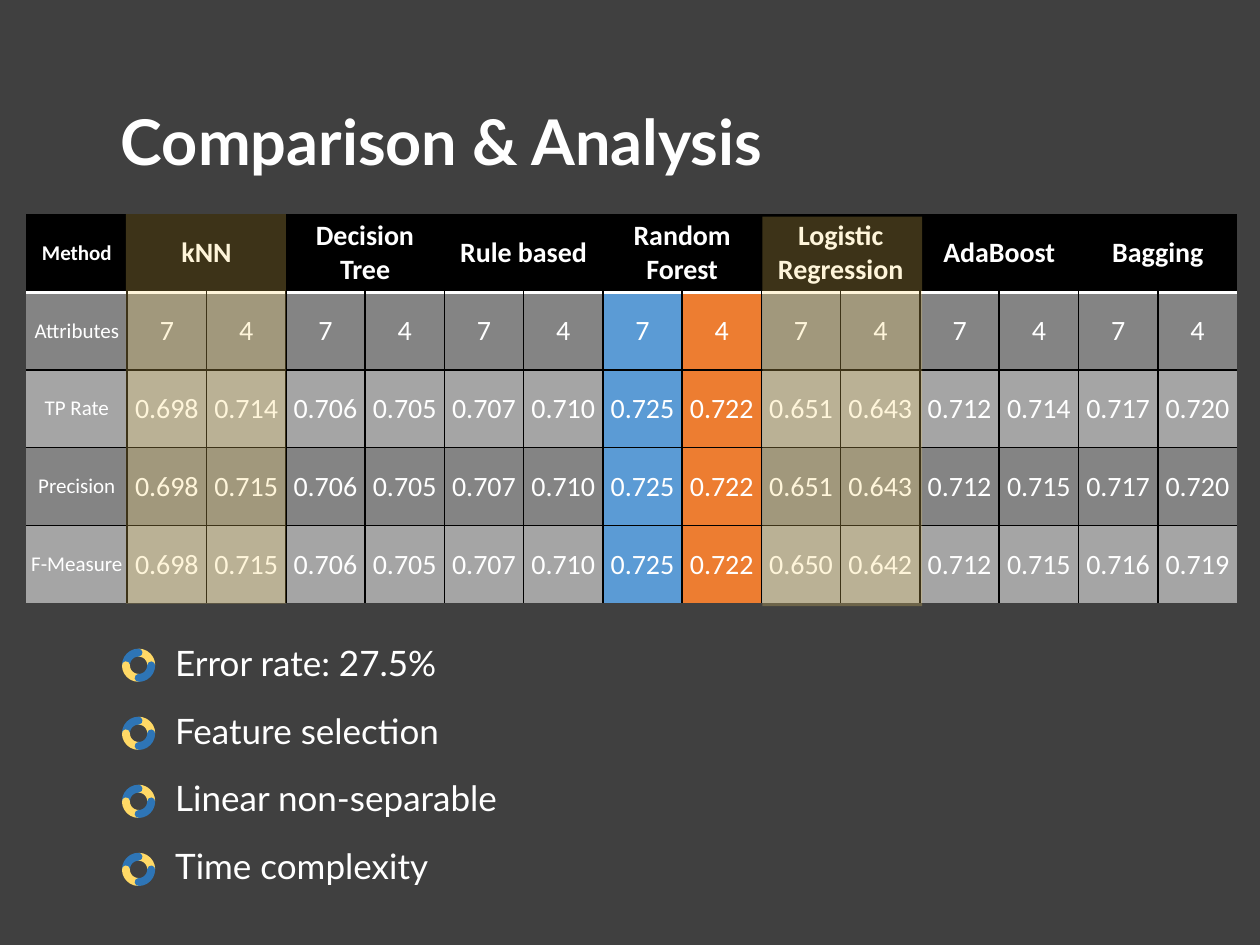
from lxml import etree
from pptx import Presentation
from pptx import util as u
from pptx.dml.color import RGBColor
from pptx.enum import shapes, text
from pptx.oxml.ns import qn

COLORS = {
    "back": "404040", "white": "FFFFFF", "black": "000000",
    "dark": "848484", "light": "A5A5A5", "blue": "5B9BD5",
    "orange": "ED7D31", "yellow": "FFD966", "ring": "2E75B6",
}
METHODS = ["kNN", "Decision\nTree", "Rule based", "Random Forest",
           "Logistic Regression", "AdaBoost", "Bagging"]
ROWS = {
    "Attributes": ["7", "4"] * len(METHODS),
    "TP Rate": "0.698 0.714 0.706 0.705 0.707 0.710 0.725 0.722 "
               "0.651 0.643 0.712 0.714 0.717 0.720".split(),
    "Precision": "0.698 0.715 0.706 0.705 0.707 0.710 0.725 0.722 "
                 "0.651 0.643 0.712 0.715 0.717 0.720".split(),
    "F-Measure": "0.698 0.715 0.706 0.705 0.707 0.710 0.725 0.722 "
                 "0.650 0.642 0.712 0.715 0.716 0.719".split(),
}
POINTS = ["Error rate: 27.5%", "Feature selection",
          "Linear non-separable", "Time complexity"]
BEST = {7: "blue", 8: "orange"}


def rgb(name):
    """Return the named colour."""
    return RGBColor.from_string(COLORS[name])


def set_all(obj, **values):
    """Set each given attribute on an object."""
    for name, value in values.items():
        setattr(obj, name, value)


def set_font(p, size, name, bold=False):
    """Format the font of a paragraph in white."""
    for r in p.runs:
        set_all(r.font, size=u.Pt(size), name=name, bold=bold)
        r.font.color.rgb = rgb("white")


def place(sp, box):
    """Move a shape to a box given in inches."""
    names = ("left", "top", "width", "height")
    set_all(sp, **dict(zip(names, map(u.Inches, box))))


def add_border(cell, side, color=None, width=1):
    """Draw one border of a cell, or hide it when no colour is given."""
    ln = etree.SubElement(cell._tc.get_or_add_tcPr(), qn(f"a:ln{side}"),
                          w=str(u.Pt(width)))
    if color is None:
        etree.SubElement(ln, qn("a:noFill"))
        return
    fill = etree.SubElement(ln, qn("a:solidFill"))
    etree.SubElement(fill, qn("a:srgbClr"), val=COLORS[color])


def format_cell(cell, row, col, last_row, last_col):
    """Apply the borders, fill and text format that a grid position calls for."""
    inner = "black" if row else None
    add_border(cell, "L", inner if col else None)
    add_border(cell, "R", inner if col < last_col else None)
    if row == 0:
        add_border(cell, "T")
        add_border(cell, "B", "white", 2)
    else:
        add_border(cell, "T", *(("white", 2) if row == 1 else ("black", 1)))
        add_border(cell, "B", "black" if row < last_row else None)
    band = "dark" if row % 2 else "light"
    cell.fill.solid()
    cell.fill.fore_color.rgb = rgb(BEST.get(col, band) if row else "black")
    set_all(cell, vertical_anchor=text.MSO_ANCHOR.MIDDLE, margin_left=0,
            margin_right=0, margin_top=0, margin_bottom=0)
    for p in cell.text_frame.paragraphs:
        p.alignment = text.PP_ALIGN.CENTER
        set_font(p, 16 if col else 12, "Calibri", row == 0)


def add_results(s, box, label_width):
    """Add the table of scores for each method."""
    n_rows, n_cols = len(ROWS) + 1, 2 * len(METHODS) + 1
    table = s.shapes.add_table(n_rows, n_cols, *map(u.Inches, box)).table
    set_all(table, first_row=False, horz_banding=False)
    for i, column in enumerate(table.columns):
        score_width = (box[2] - label_width) / (n_cols - 1)
        column.width = u.Inches(score_width if i else label_width)
    for row in table.rows:
        row.height = u.Inches(box[3] / n_rows)
    table.cell(0, 0).text = "Method"
    for i, method in enumerate(METHODS):
        first = table.cell(0, 2 * i + 1)
        first.merge(table.cell(0, 2 * i + 2))
        first.text = method
    for i, (label, scores) in enumerate(ROWS.items(), 1):
        for j, value in enumerate([label, *scores]):
            table.cell(i, j).text = value
    for i in range(n_rows):
        for j in range(n_cols):
            format_cell(table.cell(i, j), i, j, n_rows - 1, n_cols - 1)


def add_highlight(s, box):
    """Add a translucent band over a method's columns."""
    sp = s.shapes.add_shape(shapes.MSO_SHAPE.RECTANGLE, *map(u.Inches, box))
    sp.shadow.inherit = False
    sp.fill.solid()
    sp.fill.fore_color.rgb = rgb("yellow")
    color = sp.fill._xPr.find(".//" + qn("a:srgbClr"))
    etree.SubElement(color, qn("a:alpha"), val="24000")
    sp.line.fill.background()


def add_ring(s, left, top, size):
    """Add a ring marker made of four arcs in alternating colours."""
    group = s.shapes.add_group_shape()
    box = [u.Inches(v) for v in (left, top, size, size)]
    for angle, color in ((90, "yellow"), (0, "ring"),
                         (270, "yellow"), (180, "ring")):
        sp = group.shapes.add_shape(shapes.MSO_SHAPE.ARC, *box)
        sp.adjustments[0], sp.adjustments[1] = 108.03, 162.03
        sp.rotation = angle
        sp.shadow.inherit = False
        sp.fill.background()
        sp.line.color.rgb = rgb(color)
        sp.line.width = u.Pt(4.5)
        sp.line._get_or_add_ln().set("cap", "rnd")


def add_title(s, box):
    """Fill and format the title placeholder."""
    sp = s.shapes.title
    place(sp, box)
    tf = sp.text_frame
    tf.text = "Comparison & Analysis"
    set_all(tf, vertical_anchor=text.MSO_ANCHOR.MIDDLE, word_wrap=True,
            auto_size=text.MSO_AUTO_SIZE.NONE)
    p = tf.paragraphs[0]
    p.alignment = text.PP_ALIGN.LEFT
    set_font(p, 36, "Lato", True)


def add_points(s, box, pitch, ring_size):
    """Fill the body placeholder with the points, each beside a ring."""
    sp = s.placeholders[1]
    place(sp, box)
    tf = sp.text_frame
    tf.text = "\n".join(POINTS)
    set_all(tf, vertical_anchor=text.MSO_ANCHOR.TOP, word_wrap=True,
            auto_size=text.MSO_AUTO_SIZE.NONE)
    for i, p in enumerate(tf.paragraphs):
        set_all(p, space_before=u.Pt(0), space_after=u.Pt(14.7),
                alignment=text.PP_ALIGN.LEFT)
        pPr = p._p.get_or_add_pPr()
        pPr.set("marL", "0")
        pPr.set("indent", "0")
        etree.SubElement(pPr, qn("a:buNone"))
        set_font(p, 20, "Lato")
        add_ring(s, box[0] - 0.29, box[1] + 0.14 + i * pitch, ring_size)


def main():
    """Build the comparison slide and save it."""
    prs = Presentation()
    set_all(prs, slide_width=u.Inches(10), slide_height=u.Inches(7.5))
    s = prs.slides.add_slide(prs.slide_layouts[1])
    s.background.fill.solid()
    s.background.fill.fore_color.rgb = rgb("back")
    add_title(s, (0.86, 0.76, 6.2, 0.71))
    add_results(s, (0.21, 1.7, 9.61, 3.09), 0.8)
    add_highlight(s, (1, 1.7, 1.27, 3.09))
    add_highlight(s, (6.05, 1.72, 1.27, 3.09))
    add_points(s, (1.29, 5.04, 5.44, 2.07), 0.54, 0.2)
    prs.save("out.pptx")


if __name__ == "__main__":
    main()
